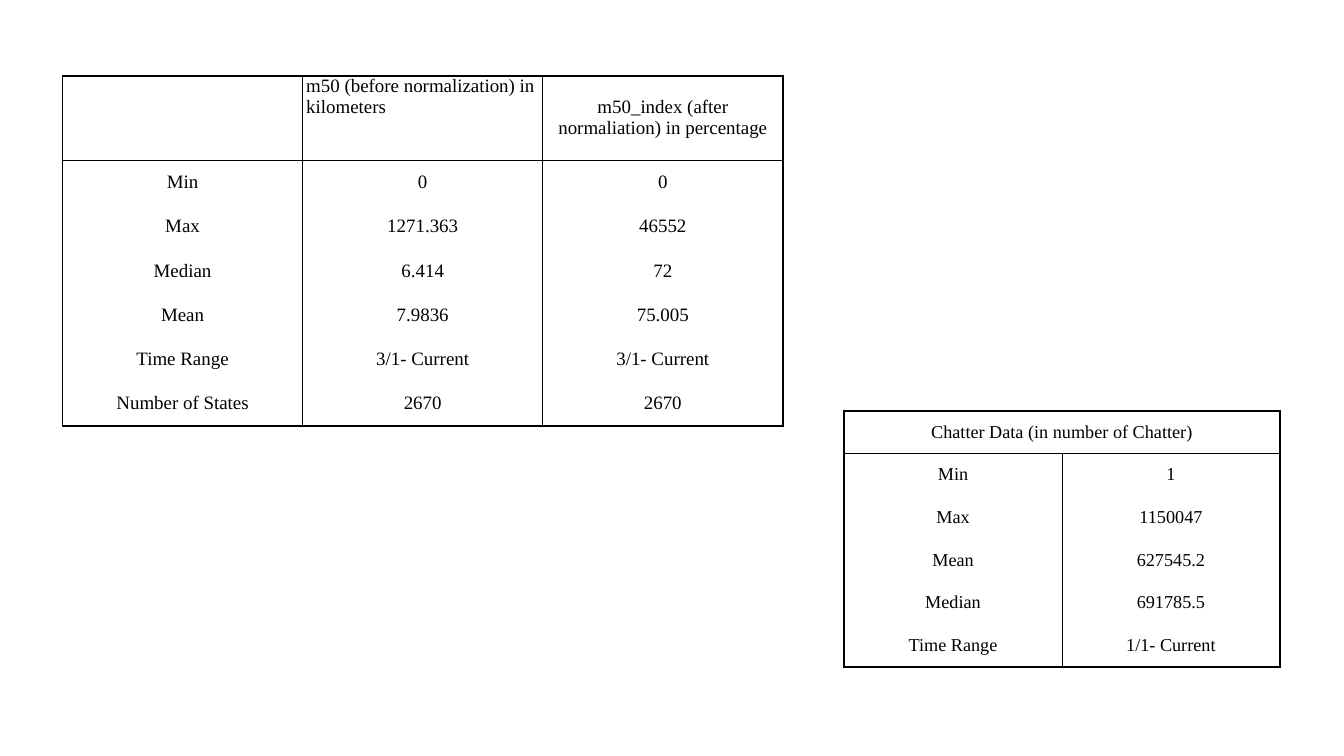
from lxml import etree
from pptx import Presentation
from pptx.dml.color import RGBColor
from pptx.enum import text
from pptx.oxml import ns
from pptx.util import Cm, Pt

INK = {"text": "000000", "line": "000000"}
FONT = "Times New Roman"
THICK, THIN = 3, 1

DISTANCE = [
    ["", "m50 (before normalization) in kilometers",
     "m50_index (after normaliation) in percentage"],
    ["Min", "0", "0"],
    ["Max", "1271.363", "46552"],
    ["Median", "6.414", "72"],
    ["Mean", "7.9836", "75.005"],
    ["Time Range", "3/1- Current", "3/1- Current"],
    ["Number of States", "2670", "2670"],
]
CHATTER = [
    ["Chatter Data (in number of Chatter)", ""],
    ["Min", "1"],
    ["Max", "1150047"],
    ["Mean", "627545.2"],
    ["Median", "691785.5"],
    ["Time Range", "1/1- Current"],
]


def write(cell, words, size=27, align=text.PP_ALIGN.CENTER,
          anchor=text.MSO_ANCHOR.MIDDLE):
    cell.margin_left = cell.margin_right = Cm(0.18)
    cell.margin_top = cell.margin_bottom = 0
    cell.vertical_anchor = anchor
    para = cell.text_frame.paragraphs[0]
    para.alignment = align
    if words:
        run = para.add_run()
        run.text = words
        run.font.name = FONT
        run.font.size = Pt(size)
        run.font.color.rgb = RGBColor.from_string(INK["text"])


def edge(cell, side, width):
    """Draw one cell border; a width of 0 hides it."""
    props = cell._tc.get_or_add_tcPr()
    line = etree.SubElement(props, ns.qn(f"a:ln{side}"), w=str(Pt(width)))
    if width:
        fill = etree.SubElement(line, ns.qn("a:solidFill"))
        etree.SubElement(fill, ns.qn("a:srgbClr"), val=INK["line"])
    else:
        etree.SubElement(line, ns.qn("a:noFill"))


def frame(cell, row, col, rows, cols):
    """Thick outside, thin between columns and below the header."""
    span = cell.span_width if cell.is_merge_origin else 1
    edge(cell, "L", THIN if col else THICK)
    edge(cell, "R", THICK if col + span == cols else THIN)
    edge(cell, "T", {0: THICK, 1: THIN}.get(row, 0))
    edge(cell, "B", {0: THIN, rows - 1: THICK}.get(row, 0))
    cell.fill.background()


def grid(slide, data, left, top, wide, high, head, size, merge=False):
    rows, cols = len(data), len(data[0])
    total = head + high * (rows - 1)
    table = slide.shapes.add_table(rows, cols, Cm(left), Cm(top),
                                   Cm(wide * cols), Cm(total)).table
    table.first_row = table.horz_banding = False
    for col in table.columns:
        col.width = Cm(wide)
    for i, row in enumerate(table.rows):
        row.height = Cm(high if i else head)
    if merge:
        table.cell(0, 0).merge(table.cell(0, cols - 1))
    for r, line in enumerate(data):
        for c, words in enumerate(line):
            cell = table.cell(r, c)
            write(cell, words, size=size)
            frame(cell, r, c, rows, cols)
    return table


def main():
    deck = Presentation()
    deck.slide_width, deck.slide_height = Cm(67.73), Cm(38.1)
    slide = deck.slides.add_slide(deck.slide_layouts[6])

    table = grid(slide, DISTANCE, 3.15, 3.83, 12.1, 2.23, head=4.24, size=27)
    before = table.cell(0, 1)
    before.vertical_anchor = text.MSO_ANCHOR.TOP
    before.text_frame.paragraphs[0].alignment = text.PP_ALIGN.LEFT

    grid(slide, CHATTER, 42.54, 20.7, 10.98, 2.15, head=2.15, size=26,
         merge=True)
    deck.save("out.pptx")


if __name__ == "__main__":
    main()
